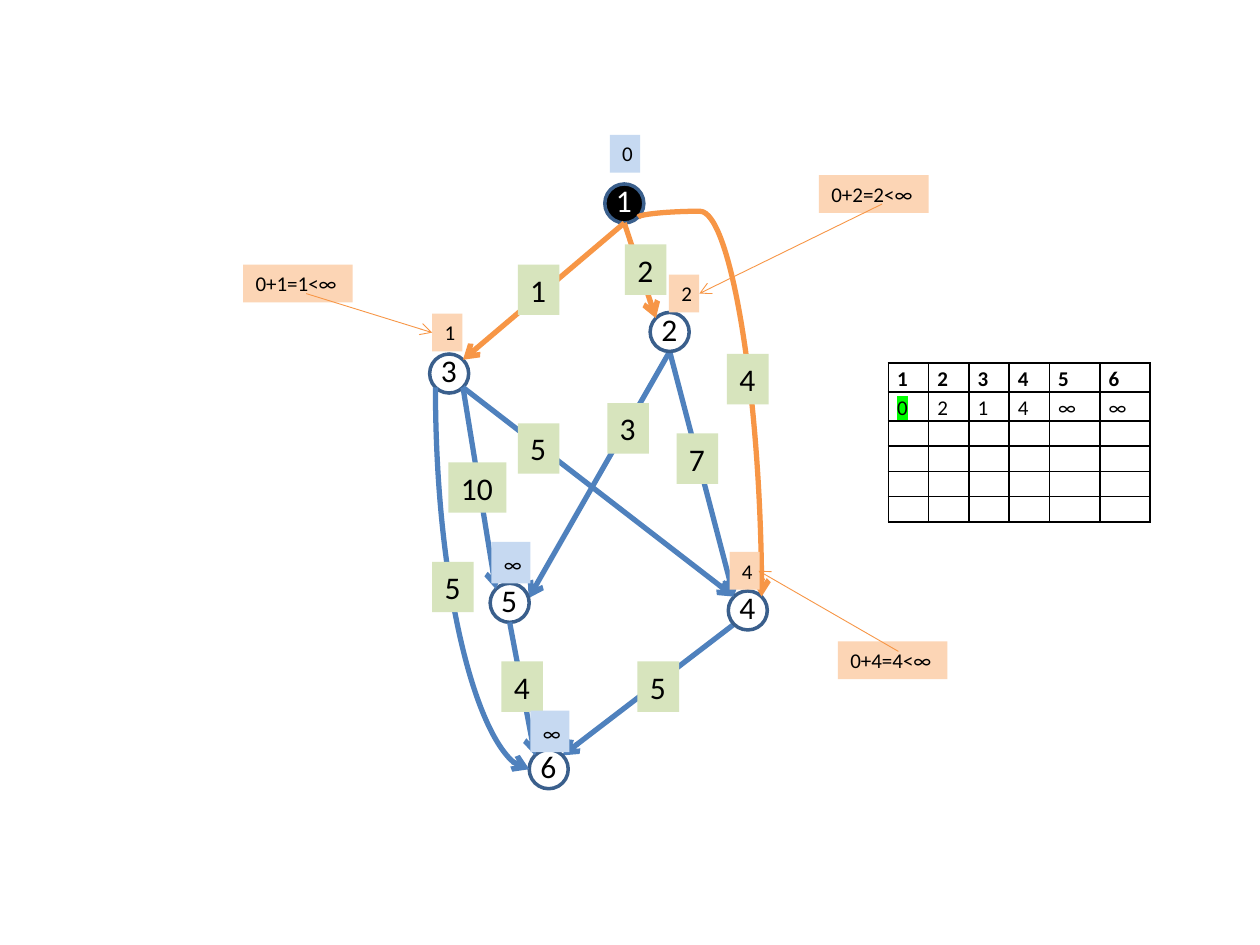
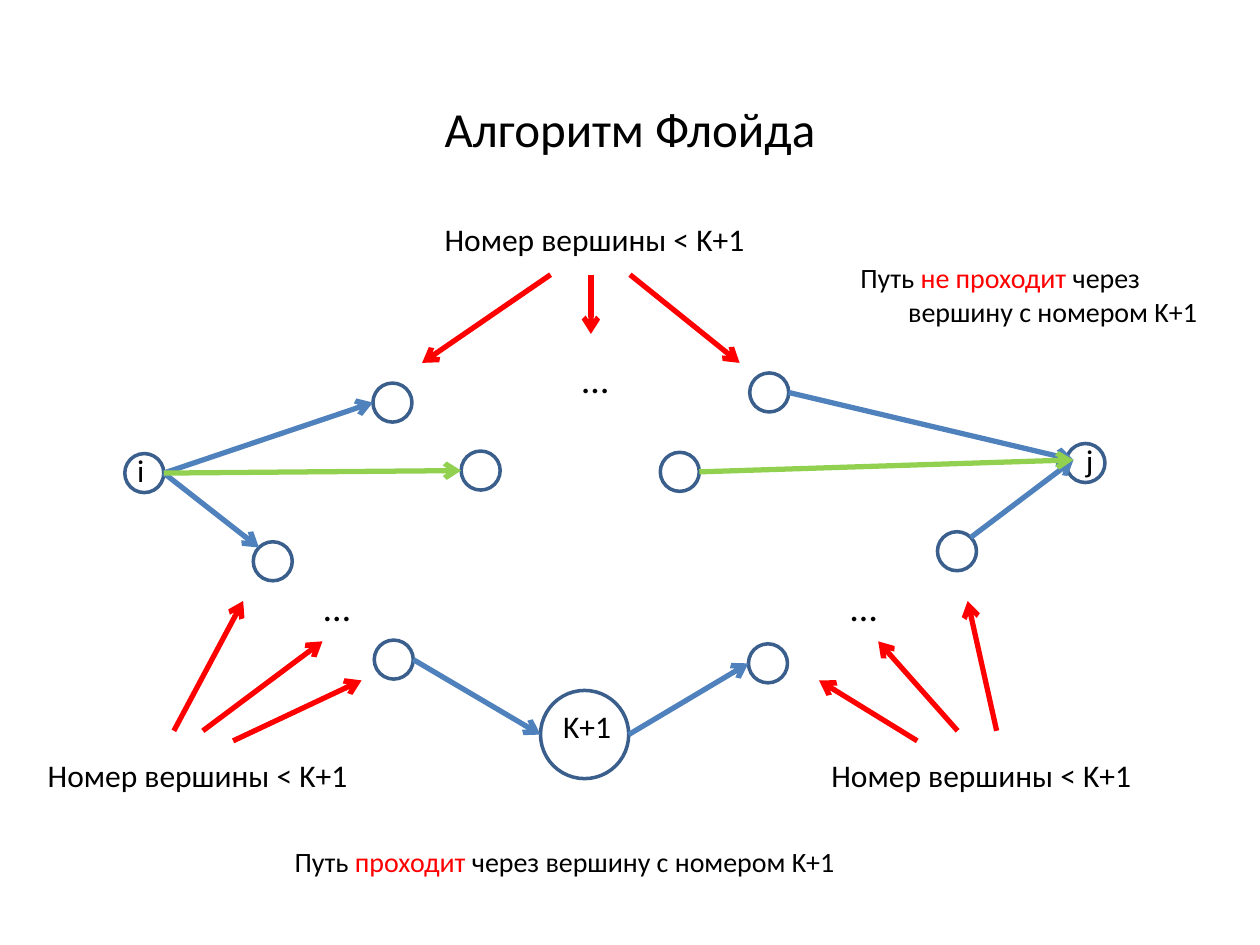
from dataclasses import dataclass
from math import cos, radians, sin
from typing import Any

from pptx import Presentation
from pptx.dml.color import RGBColor
from pptx.enum.shapes import MSO_CONNECTOR, MSO_SHAPE
from pptx.enum.text import MSO_ANCHOR, MSO_AUTO_SIZE, PP_ALIGN
from pptx.oxml.ns import qn
from pptx.oxml.xmlchemy import OxmlElement
from pptx.util import Inches, Pt

BLACK = RGBColor(0x00, 0x00, 0x00)
WHITE = RGBColor(0xFF, 0xFF, 0xFF)
RED = RGBColor(0xFF, 0x00, 0x00)
EDGE_BLUE = RGBColor(0x4F, 0x81, 0xBD)
RIM_BLUE = RGBColor(0x3A, 0x5F, 0x8C)
EDGE_ORANGE = RGBColor(0xF7, 0x96, 0x46)
EDGE_GREEN = RGBColor(0x92, 0xD0, 0x50)
PALE_GREEN = RGBColor(0xD7, 0xE4, 0xBD)
PALE_ORANGE = RGBColor(0xFC, 0xD5, 0xB5)
PALE_BLUE = RGBColor(0xC6, 0xD9, 0xF1)
HIGHLIGHT = RGBColor(0x00, 0xFF, 0x00)

STRAIGHT, CURVE = MSO_CONNECTOR.STRAIGHT, MSO_CONNECTOR.CURVE
OVAL = MSO_SHAPE.OVAL
MIDDLE, CENTER = MSO_ANCHOR.MIDDLE, PP_ALIGN.CENTER
GROW = MSO_AUTO_SIZE.SHAPE_TO_FIT_TEXT

FONT = "Calibri"
NODE = 0.31
E, SE, S, SW, W, NW, NE = 0, 45, 90, 135, 180, 225, 315


def rim(circle, angle):
    """Return the point of a circle (left, top, diameter) at a clockwise angle."""
    left, top, size = circle
    radius = size / 2
    return (left + radius + radius * cos(radians(angle)),
            top + radius + radius * sin(radians(angle)))


def add_run(paragraph, text, size, color=BLACK, bold=False):
    """Append one formatted run."""
    run = paragraph.add_run()
    run.text = text
    run.font.name, run.font.size, run.font.bold = FONT, Pt(size), bold
    run.font.color.rgb = color
    return run


def loosen(paragraph):
    """Give a paragraph the open spacing of the distance values."""
    paragraph.line_spacing = 1.15
    paragraph.space_after = Pt(10)


def hang(paragraph, indent):
    """Set a hanging indent."""
    properties = paragraph._p.get_or_add_pPr()
    properties.set("marL", str(Inches(indent)))
    properties.set("indent", str(Inches(-indent)))


def style_arrow(line, color, width):
    """Colour a connector, remove its shadow and put an arrowhead on its end."""
    line.line.color.rgb = color
    line.line.width = Pt(width)
    tail = OxmlElement("a:tailEnd")
    tail.set("type", "arrow")
    line.line._get_or_add_ln().append(tail)
    line._element.spPr.append(OxmlElement("a:effectLst"))


@dataclass
class Region:
    """A part of a slide whose contents are measured from its own corner."""
    slide: Any
    left: float
    top: float

    def place(self, x, y):
        """Turn a local point into slide lengths."""
        return Inches(self.left + x), Inches(self.top + y)

    def circle(self, spot, fill=WHITE):
        """Draw a graph vertex."""
        x, y, size = spot
        vertex = self.slide.shapes.add_shape(OVAL, *self.place(x, y), Inches(size), Inches(size))
        vertex.shadow.inherit = False
        vertex.fill.solid()
        vertex.fill.fore_color.rgb = fill
        vertex.line.color.rgb = RIM_BLUE
        vertex.line.width = Pt(2)

    def arrow(self, start, end, color=EDGE_BLUE, width=3):
        """Draw a straight arrow."""
        line = self.slide.shapes.add_connector(STRAIGHT, *self.place(*start), *self.place(*end))
        style_arrow(line, color, width)

    def falling_curve(self, start, end, color, preset, bend=None):
        """Draw a curved arrow that leaves its start vertically."""
        (x1, y1), (x2, y2) = start, end
        mid_x, mid_y = (x1 + x2) / 2, (y1 + y2) / 2
        half_drop, half_run = (y2 - y1) / 2, (x2 - x1) / 2
        line = self.slide.shapes.add_connector(
            CURVE, *self.place(mid_x + half_drop, mid_y - half_run),
            *self.place(mid_x - half_drop, mid_y + half_run))
        properties = line._element.spPr
        properties.find(qn("a:xfrm")).set("rot", str(270 * 60000))
        geometry = properties.find(qn("a:prstGeom"))
        geometry.set("prst", preset)
        if bend is not None:
            guide = OxmlElement("a:gd")
            guide.set("name", "adj1")
            guide.set("fmla", f"val {bend}")
            geometry.find(qn("a:avLst")).append(guide)
        style_arrow(line, color, 3)

    def label(self, box, *parts, size=18, fill=None, wrap=False, grow=True):
        """Write (text, colour) parts in a box and return the paragraph."""
        x, y, width, height = box
        holder = self.slide.shapes.add_textbox(*self.place(x, y), Inches(width), Inches(height))
        if fill is not None:
            holder.fill.solid()
            holder.fill.fore_color.rgb = fill
        frame = holder.text_frame
        frame.word_wrap = wrap
        if grow:
            frame.auto_size = GROW
        else:
            frame.vertical_anchor = MIDDLE
        paragraph = frame.paragraphs[0]
        for text, color in parts:
            add_run(paragraph, text, size, color)
        return paragraph

    def heading(self, box, text, size):
        """Write a centred line with the outline's hanging indent."""
        paragraph = self.label(box, (text, BLACK), size=size, wrap=True, grow=False)
        paragraph.alignment = CENTER
        hang(paragraph, 0.56)


def weighted_graph(slide, left, top):
    """Draw the graph with edge weights and tentative distances."""
    graph = Region(slide, left, top)
    vertices = {"1": (1.8, 0.46, NODE), "2": (2.16, 1.48, NODE), "3": (0.41, 1.81, NODE),
                "4": (2.78, 3.69, NODE), "5": (0.89, 3.63, NODE), "6": (1.2, 4.95, NODE)}

    def edges(*items):
        for source, leave, target, arrive, color in items:
            graph.arrow(rim(vertices[source], leave), rim(vertices[target], arrive), color)

    edges(("4", SW, "6", NE, EDGE_BLUE), ("2", S, "4", NW, EDGE_BLUE),
          ("2", S, "5", -14, EDGE_BLUE))
    for number, spot in vertices.items():
        visited = number == "1"
        graph.circle(spot, BLACK if visited else WHITE)
        graph.label((spot[0] - 0.01, spot[1] - 0.07, 0.34, 0.4),
                    (number, WHITE if visited else BLACK))
    edges(("1", S, "2", NW, EDGE_ORANGE), ("3", SE, "5", NW, EDGE_BLUE),
          ("1", S, "3", NE, EDGE_ORANGE), ("5", S, "6", NW, EDGE_BLUE),
          ("3", SE, "4", NW, EDGE_BLUE))
    graph.falling_curve(rim(vertices["1"], SE), rim(vertices["4"], NE),
                        EDGE_ORANGE, "curvedConnector3", -1600)
    graph.falling_curve(rim(vertices["3"], SW), rim(vertices["6"], W),
                        EDGE_BLUE, "curvedConnector2")

    for weight, x, y in (("2", 1.96, 0.94), ("7", 2.37, 2.44), ("10", 0.56, 2.67),
                         ("1", 1.11, 1.1), ("4", 2.77, 1.81), ("5", 0.43, 3.46),
                         ("5", 1.11, 2.36), ("3", 1.82, 2.2), ("5", 2.06, 4.25),
                         ("4", 0.98, 4.25)):
        width = 0.33 if len(weight) == 1 else 0.46
        graph.label((x, y, width, 0.4), (weight, BLACK), fill=PALE_GREEN)

    for distance, x, y, fill in (("1", 0.43, 1.49, PALE_ORANGE), ("2", 2.31, 1.18, PALE_ORANGE),
                                 ("4", 2.79, 3.38, PALE_ORANGE), ("0", 1.84, 0.07, PALE_BLUE)):
        graph.label((x, y, 0.24, 0.3), (distance, BLACK), size=12, fill=fill, wrap=True)
    for x, y in ((0.9, 3.3), (1.21, 4.64)):
        loosen(graph.label((x, y, 0.31, 0.33), ("∞", BLACK), size=12, fill=PALE_BLUE, wrap=True))


def relaxation(slide, left, top, text, start, end):
    """Write one distance comparison and point from it to its vertex."""
    note = Region(slide, left, top)
    note.label((0, 0, 0.87, 0.3), (text, BLACK), size=12, fill=PALE_ORANGE, wrap=True)
    note.arrow(start, end, EDGE_ORANGE, 0.5)


def border_cell(cell):
    """Draw thin black lines around a cell without a fill."""
    properties = cell._tc.get_or_add_tcPr()
    for side in ("a:lnL", "a:lnR", "a:lnT", "a:lnB"):
        line = OxmlElement(side)
        line.set("w", str(Pt(1)))
        fill, color = OxmlElement("a:solidFill"), OxmlElement("a:srgbClr")
        color.set("val", str(BLACK))
        fill.append(color)
        line.append(fill)
        properties.append(line)
    cell.fill.background()


def highlight(run):
    """Mark a run with the highlighter colour."""
    marker, color = OxmlElement("a:highlight"), OxmlElement("a:srgbClr")
    color.set("val", str(HIGHLIGHT))
    marker.append(color)
    run._r.rPr.find(qn("a:solidFill")).addnext(marker)


def distance_table(slide, left, top):
    """Build the table of tentative distances."""
    values = ["123456", "0214∞∞"] + [""] * 4
    widths = [0.32] * 4 + [0.4] * 2
    heights = [0.23] * 2 + [0.2] * 4
    table = slide.shapes.add_table(len(heights), len(widths), Inches(left), Inches(top),
                                   Inches(sum(widths)), Inches(sum(heights))).table
    table.first_row = table.horz_banding = False
    for column, width in zip(table.columns, widths):
        column.width = Inches(width)
    for r, (row, height) in enumerate(zip(table.rows, heights)):
        row.height = Inches(height)
        for c, cell in enumerate(row.cells):
            border_cell(cell)
            cell.margin_left = cell.margin_right = Inches(0.07)
            cell.margin_top = cell.margin_bottom = 0
            paragraph = cell.text_frame.paragraphs[0]
            if values[r]:
                loosen(paragraph)
                run = add_run(paragraph, values[r][c], 12, bold=r == 0)
                if (r, c) == (1, 0):
                    highlight(run)
            else:
                paragraph._p.get_or_add_endParaRPr().set("sz", "1200")


def floyd_paths(slide, left, top):
    """Draw the paths from i to j around and through vertex K+1."""
    paths = Region(slide, left, top)
    i, j, pivot = (0.99, 1.6, NODE), (8.46, 1.52, NODE), (4.29, 3.48, 0.7)
    upper_left, upper_right = (2.96, 1.04, NODE), (5.95, 0.96, NODE)
    inner_left, inner_right = (3.66, 1.58, NODE), (5.24, 1.59, NODE)
    outer_left, outer_right = (2.01, 2.3, NODE), (7.44, 2.22, NODE)
    lower_left, lower_right = (2.97, 3.08, NODE), (5.94, 3.11, NODE)
    j_entry = (8.52, 1.65, 0)

    for spot in (i, j, pivot, upper_left, upper_right, inner_left, inner_right,
                 outer_left, outer_right, lower_left, lower_right):
        paths.circle(spot)
    for name, box in (("i", (0.99, 1.53, 0.26, 0.4)), ("j", (8.52, 1.45, 0.26, 0.4)),
                      ("K+1", (4.37, 3.56, 0.59, 0.4))):
        paths.label(box, (name, BLACK))
    for source, leave, target, arrive, color in (
            (i, E, outer_left, NW, EDGE_BLUE), (outer_right, NE, j_entry, W, EDGE_BLUE),
            (i, E, upper_left, W, EDGE_BLUE), (upper_right, E, j_entry, W, EDGE_BLUE),
            (lower_left, E, pivot, W, EDGE_BLUE), (pivot, E, lower_right, W, EDGE_BLUE),
            (i, E, inner_left, W, EDGE_GREEN), (inner_right, E, j_entry, W, EDGE_GREEN)):
        paths.arrow(rim(source, leave), rim(target, arrive), color)
    for x, y in ((4.37, 0.81), (6.5, 2.62), (2.32, 2.62)):
        paths.heading((x, y, 0.71, 0.39), "…", 21.7)


def vertex_bound(slide, left, top, pointers):
    """Write the vertex limit and point from it to the vertices it covers."""
    bound = Region(slide, left, top)
    bound.label((0, 0, 2.61, 0.4), ("Номер вершины < K+1", BLACK))
    for start, end in pointers:
        bound.arrow(start, end, RED)


def path_note(slide, left, top, width, height, stress):
    """Say whether the path passes through vertex K+1."""
    note = Region(slide, left, top)
    hang(note.label((0, 0, width, height), ("Путь ", BLACK), (stress, RED),
                    (" через вершину с номером K+1", BLACK), size=16, wrap=True), 0.38)


def main():
    """Build both slides and save them."""
    deck = Presentation()
    deck.slide_width, deck.slide_height = Inches(10), Inches(7.5)
    blank = deck.slide_layouts[6]

    search = deck.slides.add_slide(blank)
    weighted_graph(search, 3, 1)
    distance_table(search, 7.05, 2.88)
    relaxation(search, 1.93, 2.1, "0+1=1<∞", (0.5, 0.23), (1.5, 0.54))
    relaxation(search, 6.5, 1.39, "0+2=2<∞", (0.5, 0.23), (-0.95, 0.94))
    relaxation(search, 6.65, 5.09, "0+4=4<∞", (0.48, 0.08), (-0.63, -0.56))

    floyd = deck.slides.add_slide(blank)
    floyd_paths(floyd, 0, 2)
    vertex_bound(floyd, 3.43, 1.7, [((1.57, 0.48), (2.44, 1.18)), ((0.94, 0.48), (-0.08, 1.18)),
                                    ((1.26, 0.48), (1.26, 0.95))])
    vertex_bound(floyd, 0.28, 5.95, [((1.1, -0.15), (1.65, -1.18)), ((1.57, -0.07), (2.59, -0.55)),
                                     ((1.33, -0.15), (2.28, -0.86))])
    vertex_bound(floyd, 6.5, 5.95, [((1.41, -0.15), (1.18, -1.18)), ((0.78, -0.07), (0, -0.55)),
                                    ((1.1, -0.15), (0.47, -0.86))])
    Region(floyd, 0.75, 0.21).heading((0, 0, 8.5, 1.61), "Алгоритм Флойда", 28)
    path_note(floyd, 2.24, 6.65, 5.28, 0.37, "проходит")
    path_note(floyd, 6.73, 2.02, 3.27, 0.64, "не проходит")
    deck.save("out.pptx")


if __name__ == "__main__":
    main()
